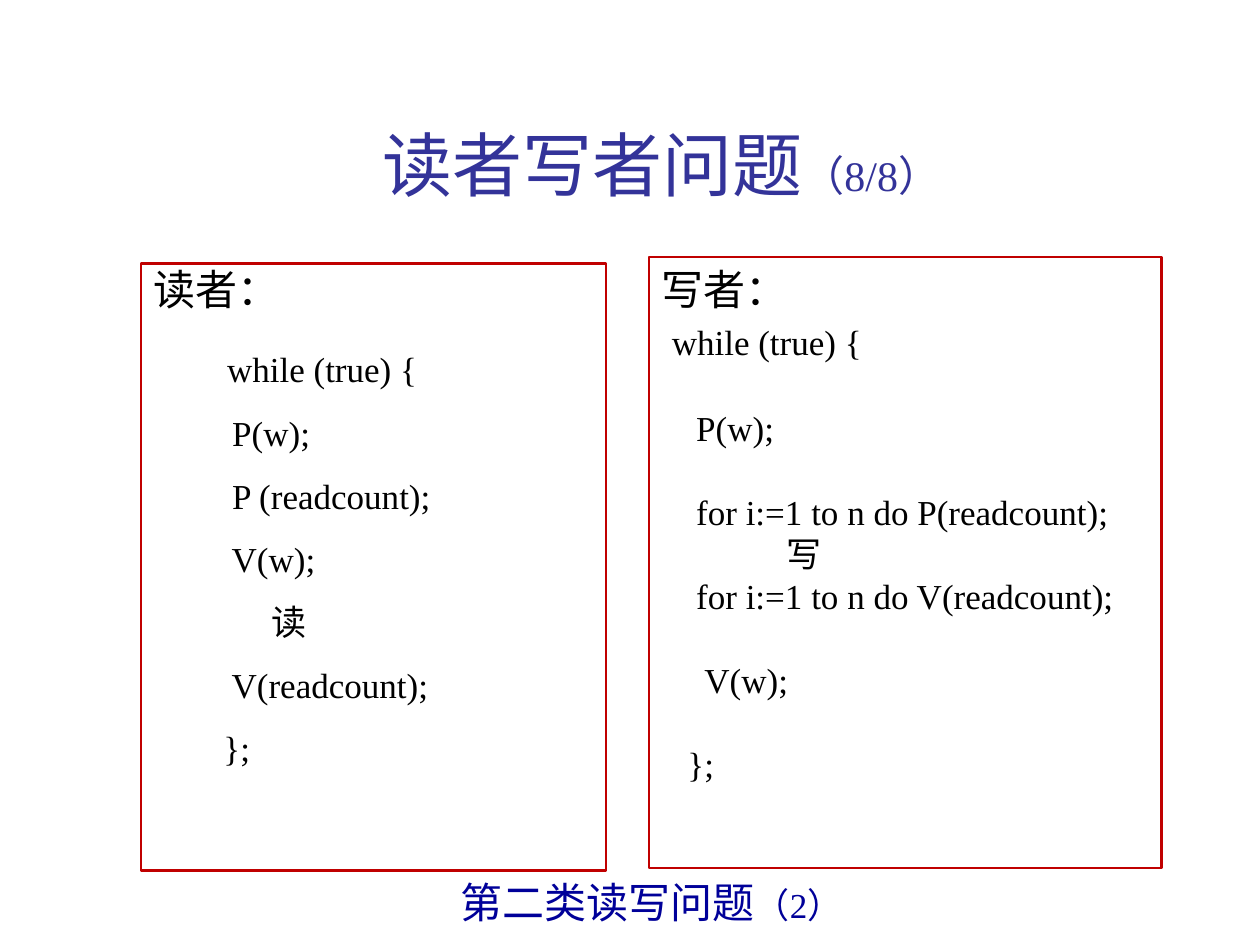
from pptx import Presentation
from pptx.dml.color import RGBColor
from pptx.enum.shapes import MSO_SHAPE
from pptx.enum.text import MSO_ANCHOR, MSO_AUTO_SIZE, PP_ALIGN
from pptx.util import Inches, Pt

BLACK = RGBColor(0x00, 0x00, 0x00)
RED = RGBColor(0xC0, 0x00, 0x00)
TITLE_BLUE = RGBColor(0x33, 0x33, 0x99)
CAPTION_BLUE = RGBColor(0x00, 0x00, 0x99)
SERIF = "Times New Roman"

READER_CODE = [
    "       while (true) {",
    "         P(w);",
    "         P (readcount);",
    "         V(w);",
    "               读",
    "         V(readcount);",
    "        };",
]
WRITER_CODE = [
    " while (true) {",
    "    P(w);",
    "    for i:=1 to n do P(readcount);",
    "                写",
    "    for i:=1 to n do V(readcount);",
    "     V(w);",
    "   };",
]
WRITER_GAPS = {1, 2, 5, 6}


def add_span(para, text, size, color, font=SERIF):
    """Append one formatted run to a paragraph."""
    span = para.add_run()
    span.text = text
    span.font.size = Pt(size)
    span.font.name = font
    span.font.color.rgb = color


def add_title(page, left, top, width, height):
    """Place the heading and its page count in the title placeholder."""
    box = page.shapes.title
    box.left, box.top, box.width, box.height = left, top, width, height
    box.text_frame.vertical_anchor = MSO_ANCHOR.MIDDLE
    para = box.text_frame.paragraphs[0]
    para.alignment = PP_ALIGN.CENTER
    add_span(para, "读者写者问题", 40, TITLE_BLUE, "Noto Sans CJK SC")
    add_span(para, "（8/8）", 24, TITLE_BLUE)


def add_code_panel(page, left, top, width, height, heading, lines,
                   heading_spacing=1.0, code_spacing=1.0, gaps=()):
    """Draw a framed panel with a heading above its code lines."""
    box = page.shapes.add_shape(MSO_SHAPE.RECTANGLE, left, top, width, height)
    box.shadow.inherit = False
    box.fill.background()
    box.line.color.rgb = RED
    box.line.width = Pt(1.5)
    frame = box.text_frame
    frame.word_wrap = True
    frame.vertical_anchor = MSO_ANCHOR.TOP
    para = frame.paragraphs[0]
    para.alignment = PP_ALIGN.LEFT
    para.line_spacing = heading_spacing
    add_span(para, heading, 24, BLACK)
    for index, line in enumerate(lines):
        para = frame.add_paragraph()
        para.alignment = PP_ALIGN.LEFT
        para.line_spacing = code_spacing
        if index in gaps:
            para.space_before = Pt(24)
        code = line.lstrip()
        indent = line[:-len(code)]
        add_span(para, indent, 20 if index else 24, BLACK)
        add_span(para, code, 20, BLACK)


def add_caption(page, left, top, width, height):
    """Place the caption below the two panels."""
    box = page.shapes.add_textbox(left, top, width, height)
    frame = box.text_frame
    frame.word_wrap = False
    frame.auto_size = MSO_AUTO_SIZE.SHAPE_TO_FIT_TEXT
    para = frame.paragraphs[0]
    add_span(para, "第二类读写问题", 24, CAPTION_BLUE, "Arial")
    add_span(para, "（2）", 20, CAPTION_BLUE)


def main():
    """Build the slide and save the deck."""
    deck = Presentation()
    deck.slide_width, deck.slide_height = Inches(10), Inches(7.5)
    page = deck.slides.add_slide(deck.slide_layouts[5])
    add_code_panel(page, Inches(1.12), Inches(2.09), Inches(3.69), Inches(4.82),
                   "读者：", READER_CODE, heading_spacing=0.9, code_spacing=1.5)
    add_code_panel(page, Inches(5.15), Inches(2.04), Inches(4.07), Inches(4.85),
                   "写者：", WRITER_CODE, gaps=WRITER_GAPS)
    add_title(page, Inches(1), Inches(0.67), Inches(8.5), Inches(1.25))
    add_caption(page, Inches(3.56), Inches(6.91), Inches(3.36), Inches(0.5))
    deck.save("out.pptx")


if __name__ == "__main__":
    main()
